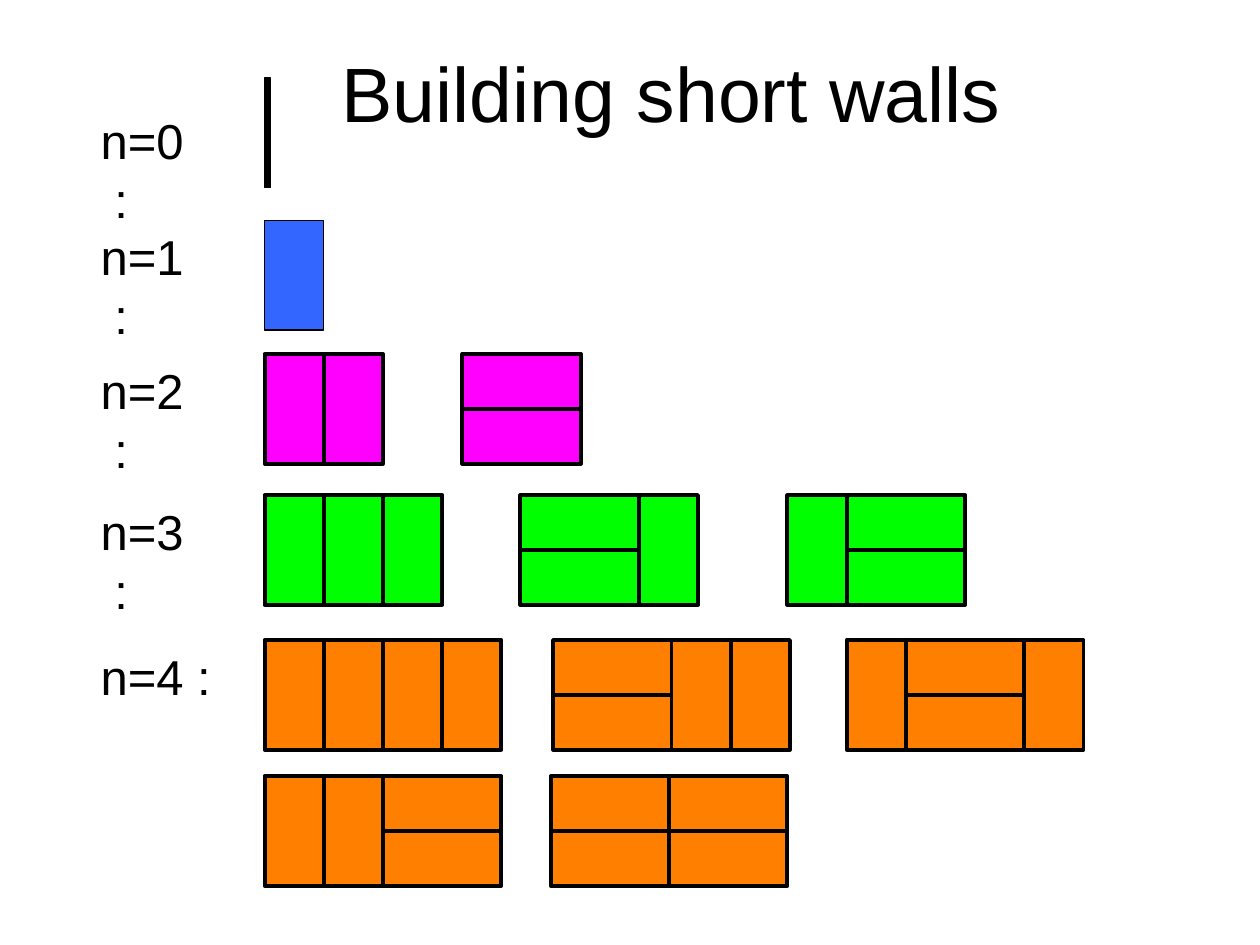
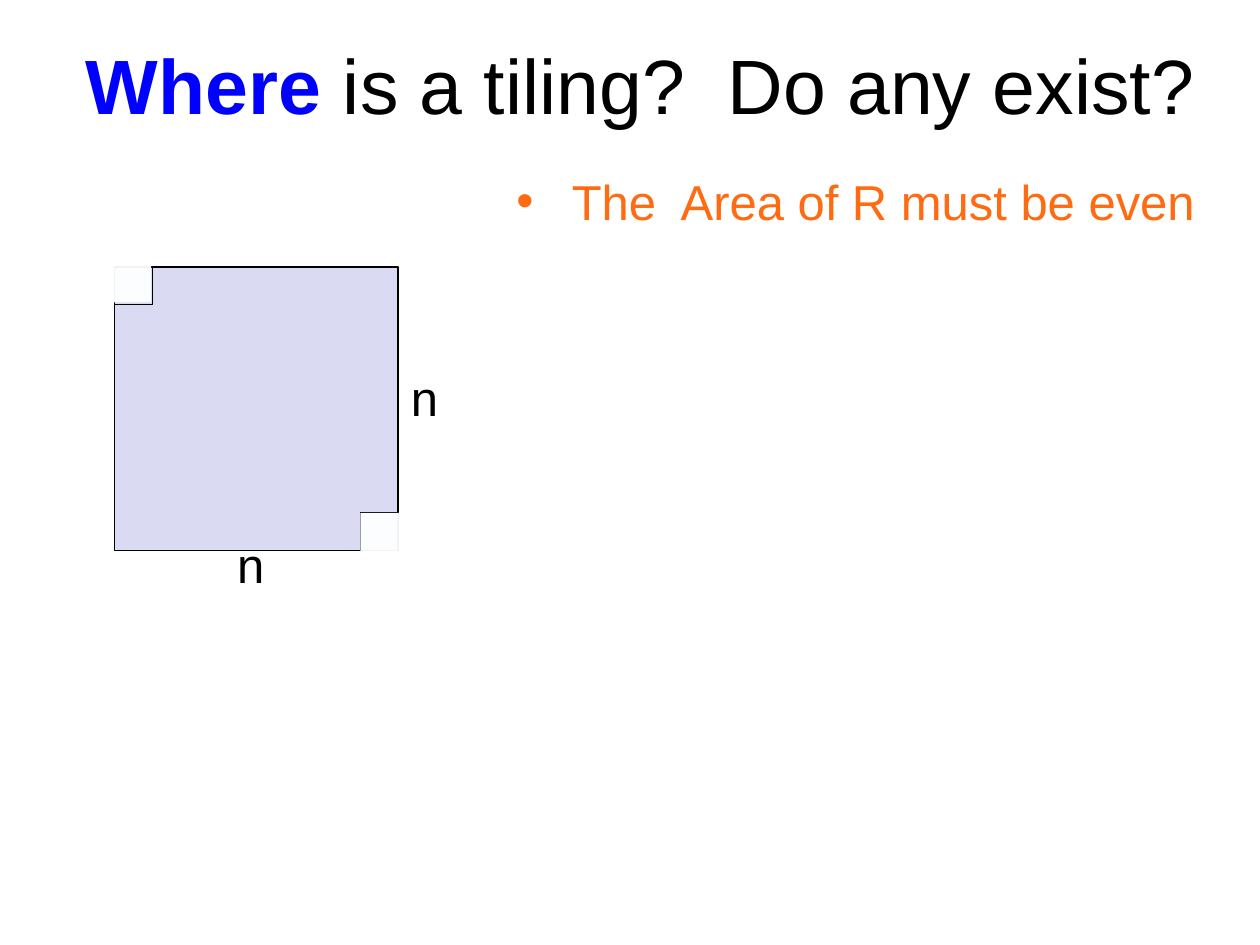
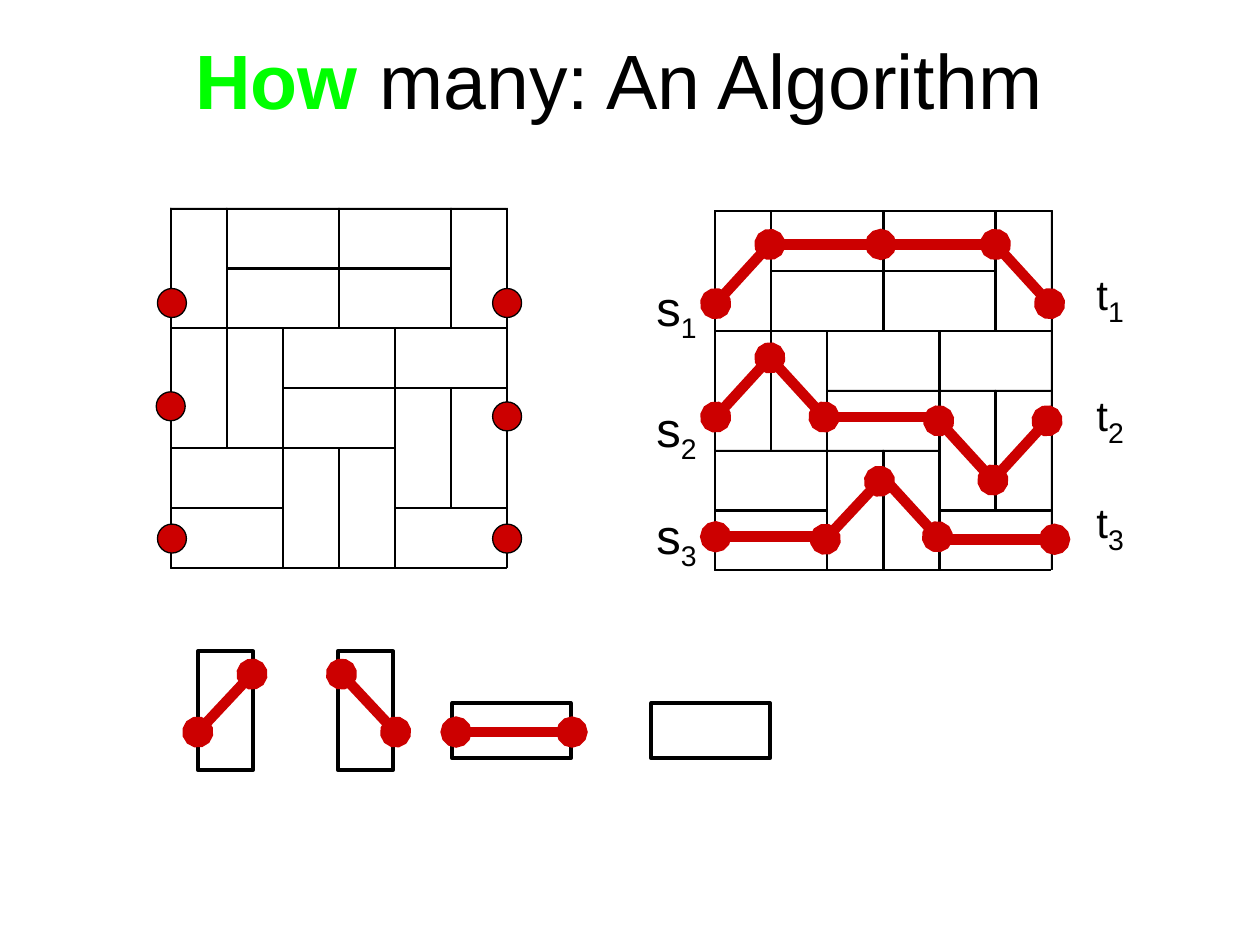
from lxml import etree
from pptx import Presentation
from pptx.dml.color import RGBColor
from pptx.enum.shapes import MSO_CONNECTOR, MSO_SHAPE
from pptx.enum.text import MSO_ANCHOR, PP_ALIGN
from pptx.oxml.ns import qn
from pptx.util import Inches, Pt

RECT, OVAL, STRAIGHT = MSO_SHAPE.RECTANGLE, MSO_SHAPE.OVAL, MSO_CONNECTOR.STRAIGHT
LEFT, CENTER = PP_ALIGN.LEFT, PP_ALIGN.CENTER
TOP, MIDDLE = MSO_ANCHOR.TOP, MSO_ANCHOR.MIDDLE

C = {
    "black": "000000", "white": "FFFFFF", "blue": "3366FF", "magenta": "FF00FF",
    "green": "00FF00", "orange": "FF8000", "where": "0000FF", "note": "FF6B13",
    "square": "A3A3E0", "corner": "BBE0E3", "red": "CC0000",
}
BODY = {"name": "Arial", "size": Pt(28), "bold": False}
TITLE = {**BODY, "size": Pt(44)}


def add_box(s, kind, x, y, w, h, fill=None, line="black", width=0.75, alpha=None):
    sp = s.shapes.add_shape(kind, Inches(x), Inches(y), Inches(w), Inches(h))
    sp.shadow.inherit = False
    if fill:
        sp.fill.solid()
        sp.fill.fore_color.rgb = RGBColor.from_string(C[fill])
        if alpha:
            clr = sp.fill._xPr.find(qn("a:solidFill"))[0]
            etree.SubElement(clr, qn("a:alpha")).set("val", str(alpha * 1000))
    else:
        sp.fill.background()
    if line:
        sp.line.color.rgb = RGBColor.from_string(C[line])
        sp.line.width = Pt(width)
    else:
        sp.line.fill.background()


def add_text(s, x, y, w, h, runs, fmt=BODY, align=CENTER, anchor=TOP, wrap=True):
    tf = s.shapes.add_textbox(Inches(x), Inches(y), Inches(w), Inches(h)).text_frame
    tf.word_wrap = wrap
    tf.vertical_anchor = anchor
    p = tf.paragraphs[0]
    p.alignment = align
    for text, color, extra in runs:
        r = p.add_run()
        r.text = text
        for key, value in {**fmt, **extra}.items():
            setattr(r.font, key, value)
        r.font.color.rgb = RGBColor.from_string(C[color])
    return p


prs = Presentation()
prs.slide_width, prs.slide_height = Inches(10), Inches(7.5)
blank = prs.slide_layouts[6]

# Slide 1
s = prs.slides.add_slide(blank)
BRICK_W, BRICK_H = 0.47, 0.87
for n, (y, w) in enumerate([(0.83, 1.02), (1.75, 1.02), (2.81, 1.02), (3.93, 1.02), (5.08, 1.2)]):
    p = add_text(s, 0.7, y, w, 0.5, [(f"n={n} :", "black", {})], align=LEFT)
    pPr = p._p.get_or_add_pPr()
    pPr.set("marL", str(Inches(0.11)))
    pPr.set("indent", str(-Inches(0.11)))

add_box(s, RECT, 2.1, 0.62, 0.05, BRICK_H, "black")
add_box(s, RECT, 2.1, 1.75, BRICK_W, BRICK_H, "blue")
walls = [
    (2.1, 2.81, "VV", "magenta"), (3.67, 2.81, "H", "magenta"),
    (2.1, 3.93, "VVV", "green"), (4.13, 3.93, "HV", "green"), (6.25, 3.93, "VH", "green"),
    (2.1, 5.08, "VVVV", "orange"), (4.39, 5.08, "HVV", "orange"), (6.72, 5.08, "VHV", "orange"),
    (2.1, 6.16, "VVH", "orange"), (4.37, 6.16, "HH", "orange"),
]
for x, y, bricks, color in walls:
    for brick in bricks:
        if brick == "V":
            add_box(s, RECT, x, y, BRICK_W, BRICK_H, color, width=2.25)
            x += BRICK_W
        else:
            for row in (1, 0):
                add_box(s, RECT, x, y + row * BRICK_H / 2, 2 * BRICK_W, BRICK_H / 2, color, width=2.25)
            x += 2 * BRICK_W
add_text(s, 1.08, 0.1, 8.5, 1.25, [("Building short walls", "black", {})], TITLE, anchor=MIDDLE)

# Slide 2
s = prs.slides.add_slide(blank)
add_text(s, 0, 0.04, 10, 1.25, [
    (" ", "black", {}), ("Where ", "where", {"bold": True}),
    ("is a tiling?  Do any exist?", "black", {}),
], TITLE, anchor=MIDDLE)
p = add_text(s, 3.58, 1.31, 6.42, 0.57, [("The  Area of R must be even", "note", {})], align=LEFT)
pPr = p._p.get_or_add_pPr()
pPr.set("marL", str(Inches(0.86)))
pPr.set("indent", str(-Inches(0.44)))
etree.SubElement(pPr, qn("a:buFont")).set("typeface", "Arial")
etree.SubElement(pPr, qn("a:buChar")).set("char", "•")

add_box(s, RECT, 0.91, 2.12, 2.25, 2.25, "square", alpha=40)
for x, y in [(1.78, 4.19), (3.16, 2.87)]:
    add_text(s, x, y, 0.42, 0.57, [("n", "black", {})], wrap=False)
for x, y in [(2.86, 4.07), (0.91, 2.12)]:
    add_box(s, RECT, x, y, 0.3, 0.3, "corner", alpha=8)
for x, y, side in [(2.86, 4.07, 0.4), (0.68, 1.88, 0.52)]:
    add_box(s, RECT, x, y, side, side, "white", line=None, alpha=95)

# Slide 3
s = prs.slides.add_slide(blank)
add_text(s, 0.75, 0, 8.5, 1.25, [
    ("How ", "green", {"bold": True}), ("many: An Algorithm ", "black", {}),
], TITLE, anchor=MIDDLE)

CELL_W, CELL_H, BAR = 2.67 / 6, 2.85 / 6, 0.01
rows = [(0, 6, 6), (0, 5, 2), (0, 4, 4), (0, 2, 6), (0, 0, 6), (1, 1, 4), (2, 3, 4), (4, 5, 2)]
cols = [(0, 0, 6), (1, 0, 4), (2, 2, 4), (3, 4, 2), (4, 2, 4), (3, 0, 2), (5, 3, 2), (5, 0, 2), (6, 0, 6)]
for left, top in [(1.35, 1.65), (5.67, 1.67)]:
    for c, r, length in rows:
        add_box(s, RECT, left + c * CELL_W, top + r * CELL_H, length * CELL_W, BAR, "black", width=0.38)
    for c, r, length in cols:
        add_box(s, RECT, left + c * CELL_W, top + r * CELL_H, BAR, length * CELL_H, "black", width=0.38)

for x, y, w, h in [(1.57, 5.17, 0.44, 0.94), (2.68, 5.17, 0.44, 0.94),
                   (3.59, 5.58, 0.94, 0.44), (5.17, 5.58, 0.94, 0.44)]:
    add_box(s, RECT, x, y, w, h, width=2.25)

BOTH, HEAD, TAIL = ("headEnd", "tailEnd"), ("headEnd",), ("tailEnd",)
steps = [
    (5.68, 2.41, 6.11, 1.94, BOTH), (5.68, 3.31, 6.11, 2.84, BOTH),
    (6.55, 4.28, 6.98, 3.82, BOTH), (8.33, 2.41, 7.9, 1.94, BOTH),
    (7.44, 4.26, 7.01, 3.79, HEAD), (6.54, 3.31, 6.11, 2.84, HEAD),
    (7.45, 3.34, 7.88, 3.81, BOTH), (8.31, 3.34, 7.88, 3.81, HEAD),
    (6.99, 1.94, 6.12, 1.94, HEAD), (7.45, 3.31, 6.54, 3.31, ()),
    (8.37, 4.28, 7.45, 4.28, HEAD), (6.6, 4.26, 5.68, 4.26, TAIL),
    (7.9, 1.94, 6.98, 1.94, ()), (1.57, 5.81, 2, 5.35, BOTH),
    (3.14, 5.81, 2.71, 5.35, BOTH), (4.54, 5.81, 3.62, 5.81, BOTH),
]
for x1, y1, x2, y2, ends in steps:
    cn = s.shapes.add_connector(STRAIGHT, Inches(x1), Inches(y1), Inches(x2), Inches(y2))
    cn.line.color.rgb = RGBColor.from_string(C["red"])
    cn.line.width = Pt(6)
    for end in ends:
        etree.SubElement(cn.line._get_or_add_ln(), qn(f"a:{end}")).set("type", "oval")
    etree.SubElement(cn._element.spPr, qn("a:effectLst"))

for x, y in [(1.25, 2.29), (1.24, 3.11), (1.25, 4.16), (3.91, 4.16), (3.91, 3.19), (3.91, 2.29)]:
    add_box(s, OVAL, x, y, 0.23, 0.23, "red")

for letter, x, w, h, size, tops in [("t", 8.59, 0.44, 0.5, 24, (2.09, 3.05, 3.9)),
                                    ("s", 5.1, 0.54, 0.57, 28, (2.18, 3.14, 3.99))]:
    for i, y in enumerate(tops, 1):
        p = add_text(s, x, y, w, h, [(letter, "black", {"size": Pt(size)}), (str(i), "black", {})],
                     anchor=MIDDLE, wrap=False)
        p.runs[1].font._element.set("baseline", "-25000")

prs.save("out.pptx")
